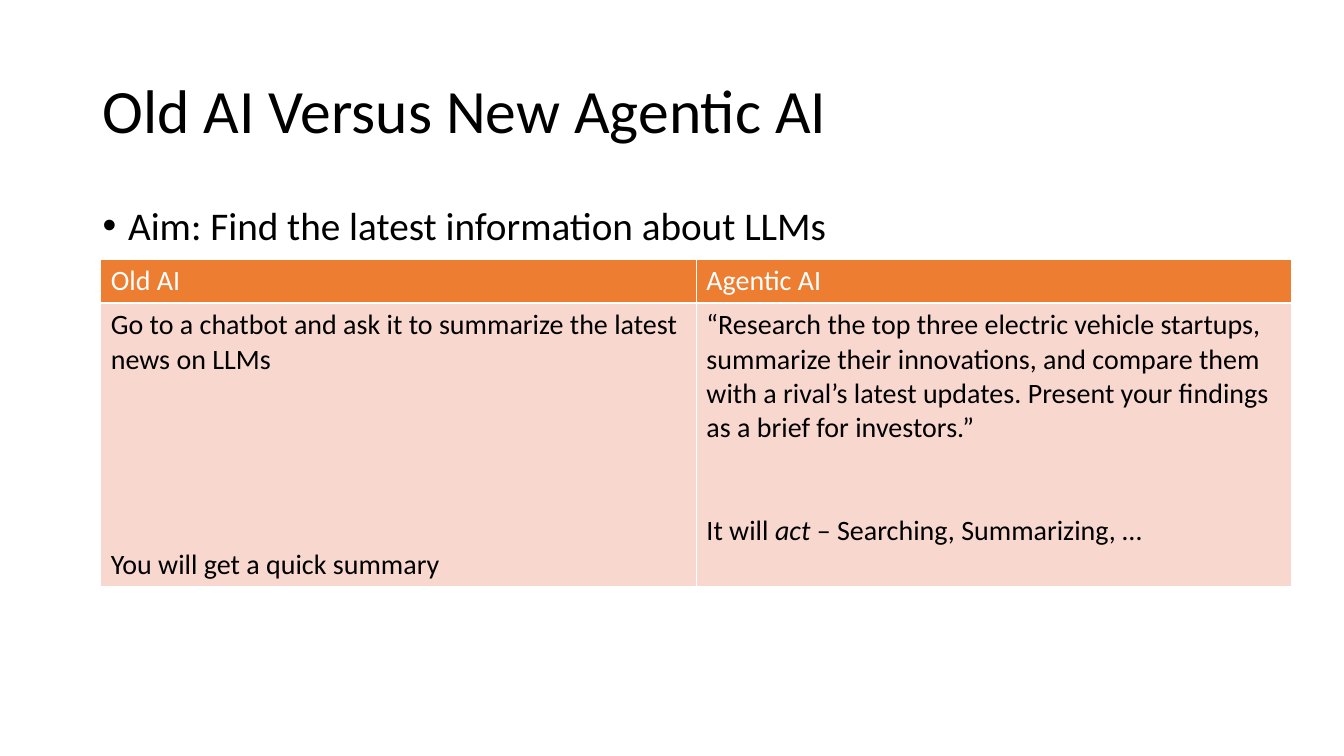
from lxml.etree import SubElement
from pptx import Presentation
from pptx.dml.color import RGBColor
from pptx.enum.text import MSO_ANCHOR
from pptx.oxml.ns import qn
from pptx.util import Cm, Pt

COLORS = {
    "text": "000000",
    "white": "FFFFFF",
    "header": "ED7D31",
    "body": "F8D7CE",
}
FONT = "Calibri"
CELL_SIZE = 20
CELL_LINE = 24.4


class SlideBuilder:
    def __init__(self, slide):
        self.slide = slide

    def add_run(self, paragraph, text, size, color="text", italic=False):
        run = paragraph.add_run()
        run.text = text
        run.font.name = FONT
        run.font.size = Pt(size)
        run.font.bold = False
        run.font.italic = italic
        run.font.color.rgb = RGBColor.from_string(COLORS[color])

    def add_text(self, left, top, width, height, text, size, anchor, bullet=False):
        box = self.slide.shapes.add_textbox(Cm(left), Cm(top), Cm(width), Cm(height))
        frame = box.text_frame
        frame.word_wrap = True
        frame.vertical_anchor = anchor
        paragraph = frame.paragraphs[0]
        paragraph.line_spacing = 0.9
        if bullet:
            properties = paragraph._p.get_or_add_pPr()
            properties.set("marL", str(Cm(0.64)))
            properties.set("indent", str(-Cm(0.64)))
            SubElement(properties, qn("a:buFont"), typeface="Arial")
            SubElement(properties, qn("a:buChar"), char="•")
        self.add_run(paragraph, text, size)

    def add_borders(self, cell, bottom_width):
        properties = cell._tc.get_or_add_tcPr()
        for side, width in (("L", 1), ("R", 1), ("T", 1), ("B", bottom_width)):
            line = SubElement(properties, qn(f"a:ln{side}"), w=str(Pt(width)))
            fill = SubElement(line, qn("a:solidFill"))
            SubElement(fill, qn("a:srgbClr"), val=COLORS["white"])

    def fill_cell(self, cell, paragraphs, fill, color, bottom_width):
        self.add_borders(cell, bottom_width)
        cell.fill.solid()
        cell.fill.fore_color.rgb = RGBColor.from_string(COLORS[fill])
        frame = cell.text_frame
        for index, (lines_before, runs) in enumerate(paragraphs):
            paragraph = frame.add_paragraph() if index else frame.paragraphs[0]
            if lines_before:
                paragraph.space_before = Pt(lines_before * CELL_LINE)
            for text, italic in runs:
                self.add_run(paragraph, text, CELL_SIZE, color, italic)

    def add_table(self, left, top, column_width, row_heights, columns):
        frame = self.slide.shapes.add_table(
            len(row_heights), len(columns), Cm(left), Cm(top),
            Cm(column_width * len(columns)), Cm(sum(row_heights)),
        )
        table = frame.table
        table.horz_banding = False
        for row, height in zip(table.rows, row_heights):
            row.height = Cm(height)
        for index, (heading, paragraphs) in enumerate(columns):
            table.columns[index].width = Cm(column_width)
            self.fill_cell(table.cell(0, index), [(0, [(heading, False)])], "header", "white", 1.5)
            self.fill_cell(table.cell(1, index), paragraphs, "body", "text", 1)


def main():
    presentation = Presentation()
    presentation.slide_width = Cm(33.87)
    presentation.slide_height = Cm(19.05)
    builder = SlideBuilder(presentation.slides.add_slide(presentation.slide_layouts[6]))

    builder.add_text(2.34, 1.02, 29.21, 3.68, "Old AI Versus New Agentic AI", 44, MSO_ANCHOR.MIDDLE)
    builder.add_text(2.34, 5.08, 29.21, 12.09, "Aim: Find the latest information about LLMs",
                     28, MSO_ANCHOR.TOP, bullet=True)

    old_ai = [
        (0, [("Go to a chatbot and ask it to summarize the latest news on LLMs", False)]),
        (5, [("You will get a quick summary", False)]),
    ]
    agentic_ai = [
        (0, [("“Research the top three electric vehicle startups, summarize their innovations, "
              "and compare them with a rival’s latest updates. Present your findings as a brief "
              "for investors.”", False)]),
        (2, [("It will ", False), ("act", True), (" – Searching, Summarizing, …", False)]),
    ]
    builder.add_table(2.54, 6.53, 15.01, [1.11, 7.14],
                      [("Old AI", old_ai), ("Agentic AI", agentic_ai)])

    presentation.save("out.pptx")


if __name__ == "__main__":
    main()
